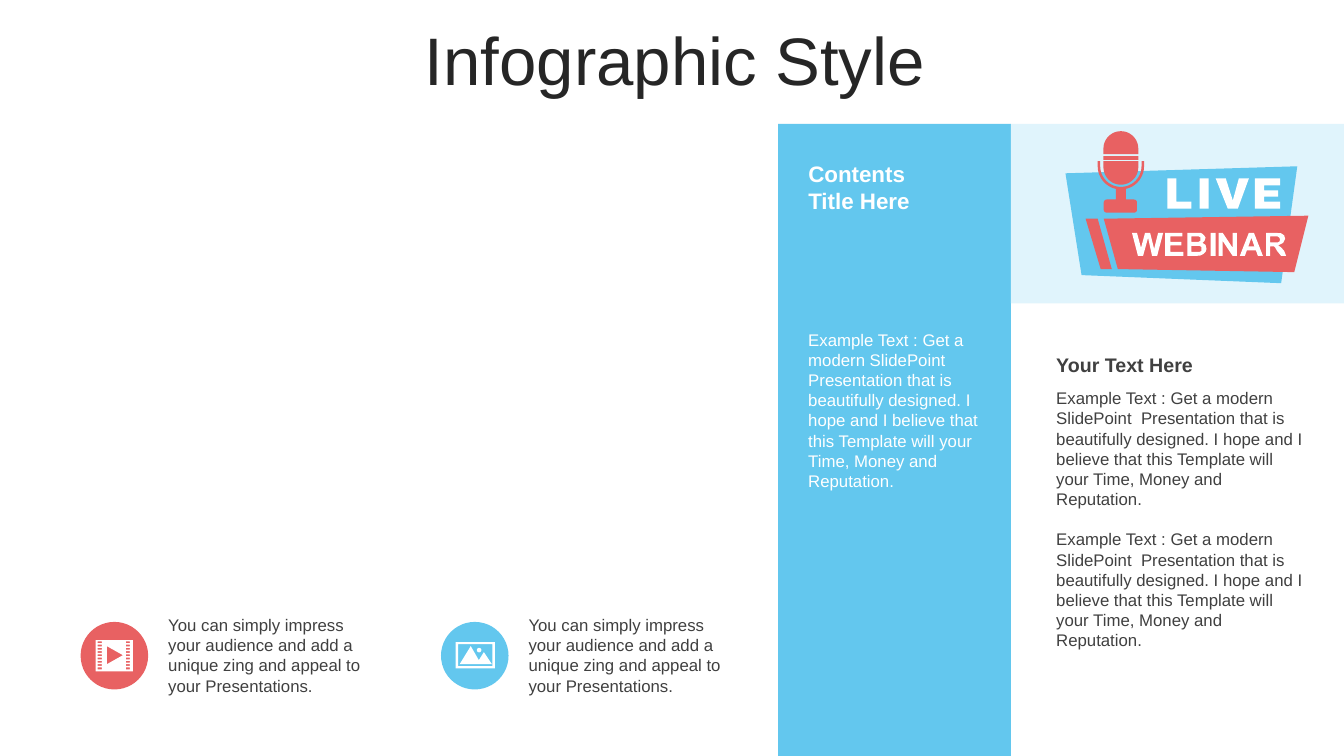
import math
import pptx
import pptx.util
import pptx.dml.color
import pptx.enum.shapes
import pptx.enum.text

RGBColor = pptx.dml.color.RGBColor
BLUE = RGBColor(0x63, 0xC7, 0xEE)
PALE = RGBColor(0xE0, 0xF4, 0xFC)
RED = RGBColor(0xE8, 0x61, 0x62)
WHITE = RGBColor(0xFF, 0xFF, 0xFF)
GREY = RGBColor(0x40, 0x40, 0x40)
BLACK = RGBColor(0x26, 0x26, 0x26)

# The slide is a grid of square cells, a tenth of an inch each.
CELL = pptx.util.Inches(0.1)
COLS, ROWS = 133.33, 75
TOP, SIDE, EDGE = 12.3, 77.2, 100.3

PITCH = ("Example Text : Get a modern SlidePoint  Presentation that is "
         "beautifully designed. I hope and I believe that this Template "
         "will your Time, Money and Reputation.")
IMPRESS = ("You can simply impress your audience and add a unique zing "
           "and appeal to your Presentations.")


def grid(*cells):
    return [round(n * CELL) for n in cells]


def paint(shape, fill):
    shape.fill.solid()
    shape.fill.fore_color.rgb = fill
    shape.line.fill.background()
    shape.shadow.inherit = False


def panel(shapes, kind, area, fill):
    paint(shapes.add_shape(kind, *grid(*area)), fill)


def write(frame, lines, size, color, bold=False, gap=0):
    for i, line in enumerate(lines):
        para = frame.paragraphs[0] if i == 0 else frame.add_paragraph()
        if i and gap:
            para.space_before = pptx.util.Pt(gap)
        run = para.add_run()
        run.text = line
        run.font.name = "Arial"
        run.font.size = pptx.util.Pt(size)
        run.font.bold = bold
        run.font.color.rgb = color


def note(shapes, area, lines, size, color, bold=False, gap=0):
    frame = shapes.add_textbox(*grid(*area)).text_frame
    frame.word_wrap = True
    frame.auto_size = pptx.enum.text.MSO_AUTO_SIZE.SHAPE_TO_FIT_TEXT
    write(frame, lines, size, color, bold, gap)


def trace(shapes, left, top, loops, fill):
    """Draw closed loops, in tenths of a cell from (left, top), as one shape."""
    loops = [[grid(left + x / 10, top + y / 10) for x, y in loop]
             for loop in loops]
    pen = shapes.build_freeform(*loops[0][0], scale=1.0)
    for i, loop in enumerate(loops):
        if i:
            pen.move_to(*loop[0])
        pen.add_line_segments(loop[1:], close=True)
    paint(pen.convert_to_shape(), fill)


def box(x, y, wide, high):
    return [(x, y), (x + wide, y), (x + wide, y + high), (x, y + high)]


def arc(x, y, size, start, end):
    """Points on a circle; angles in degrees, clockwise from the right."""
    turns = [math.radians(start + (end - start) * i / 24) for i in range(25)]
    return [(x + size * math.cos(t), y + size * math.sin(t)) for t in turns]


def film(shapes):
    holes = [box(x, 1.2 + 3.25 * row, 4, 1.8)
             for row in range(9) for x in (2, 30)]
    play = [(11, 6), (11, 24), (27, 15)]
    trace(shapes, 9.5, 63.5, [box(0, 0, 37, 31), play, *holes], WHITE)


def photo(shapes):
    hills = [(15, 4), (23, 18), (28, 10), (36, 22), (4, 22)]
    trace(shapes, 45.2, 63.7, [box(0, 0, 39, 26), box(2.5, 2, 34, 22),
                               hills, arc(23.3, 8, 2.2, 0, 360)], WHITE)


def mic(shapes):
    head = arc(23, 17.5, 17.3, 180, 360) + [(40.3, 23), (5.7, 23)]
    chin = [(5.7, 30), (40.3, 30)] + arc(23, 36, 17.3, 0, 180)
    yoke = ([(46, 30)] + arc(23, 35, 23, 0, 180) + [(0, 30), (2.5, 30)]
            + arc(23, 35, 20.5, 180, 0) + [(43.5, 30)])
    stem = box(18, 57.8, 10, 10.2)
    base = [p for x, y, turn in ((9, 71, 180), (36, 71, 270),
                                 (36, 78, 0), (9, 78, 90))
            for p in arc(x, y, 3, turn, turn + 90)]
    trace(shapes, 108.9, 13,
          [head, box(5.7, 25, 34.6, 3.6), chin, yoke, stem, base], RED)


def live(shapes):
    l = [(0, 0), (9, 0), (9, 23), (24, 23), (24, 30), (0, 30)]
    v = [(48, 0), (58, 0), (65, 22), (71, 0), (81, 0), (70, 30), (60, 30)]
    e = [(87, 0), (112, 0), (112, 7), (96, 7), (96, 12), (110, 12),
         (110, 18), (96, 18), (96, 23), (112, 23), (112, 30), (87, 30)]
    trace(shapes, 115.8, 17.7, [l, box(32, 0, 9, 30), v, e], WHITE)


def webinar(shapes):
    w = [(0, 0), (5, 0), (9, 15), (13, 0), (18, 0), (22, 16), (26, 0),
         (31, 0), (25, 23), (20, 23), (16, 5), (11, 23), (6, 23)]
    e = [(33, 0), (50, 0), (50, 3.5), (38, 3.5), (38, 9), (49, 9),
         (49, 12.5), (38, 12.5), (38, 19), (51, 19), (51, 23), (33, 23)]
    b = [(55, 0), (64, 0), (68, 0), (70, 1), (72, 3), (73, 5), (72, 8),
         (70, 10), (73, 12), (74, 16), (73, 19), (71, 21), (68, 22.5),
         (63, 23), (55, 23)]
    low = [(59, 13), (59, 19), (64, 19), (67, 19), (69, 18), (69, 16),
           (69, 14), (67, 13)]
    high = [(59, 3.5), (59, 9), (62, 9), (66, 9), (68, 8), (68, 6),
            (68, 4.5), (66, 3.5)]
    n = [(86, 0), (90, 0), (100, 15), (100, 0), (104, 0), (104, 23),
         (100, 23), (90, 8), (90, 23), (86, 23)]
    a = [(116, 0), (121, 0), (130, 23), (125, 23), (123, 17.5),
         (114, 17.5), (112, 23), (107, 23)]
    gap = [(118.5, 5), (115.5, 13.5), (121.5, 13.5)]
    r = [(133, 0), (142, 0), (148, 0.5), (151, 2.5), (152, 6), (150, 10),
         (145, 12.5), (148, 14.5), (151, 18), (153, 23), (148, 23),
         (144, 18), (142, 14.5), (141, 13.5), (137, 13.5), (137, 23),
         (133, 23)]
    eye = [(137, 3.5), (137, 9.5), (141, 9.5), (145, 9.5), (146.5, 8.5),
           (147, 6.5), (146, 4.5), (144, 3.5)]
    trace(shapes, 112.3, 23.1, [w, e, b, low, high, box(78, 0, 5, 23),
                                n, a, gap, r, eye], WHITE)


def badge(shapes):
    trace(shapes, 105.7, 16.5,
          [[(0, 7), (230, 0), (214, 116), (16, 108)]], BLUE)
    trace(shapes, 109.5, 21.4,
          [[(0, 3), (203, 0), (189, 56), (14, 53)]], RED)
    trace(shapes, 107.7, 21.7,
          [[(12, 0), (26, 50), (15, 50), (0, 0)]], RED)
    mic(shapes)
    webinar(shapes)
    live(shapes)


def title(shapes):
    head = shapes.title
    head.left, head.top, head.width, head.height = grid(0, 2.4, COLS, 7.8)
    frame = head.text_frame
    frame.margin_left, frame.margin_right = grid(1.6, 1)
    frame.margin_top, frame.margin_bottom = grid(0.5, 0.5)
    frame.vertical_anchor = pptx.enum.text.MSO_ANCHOR.MIDDLE
    write(frame, ["Infographic Style"], 48, BLACK)
    frame.paragraphs[0].alignment = pptx.enum.text.PP_ALIGN.CENTER
    frame.paragraphs[0].line_spacing = 0.9


def main():
    deck = pptx.Presentation()
    deck.slide_width, deck.slide_height = grid(COLS, ROWS)
    shapes = deck.slides.add_slide(deck.slide_layouts[5]).shapes
    kinds = pptx.enum.shapes.MSO_SHAPE

    title(shapes)
    panel(shapes, kinds.RECTANGLE, (SIDE, TOP, EDGE - SIDE, ROWS - TOP), BLUE)
    panel(shapes, kinds.RECTANGLE, (EDGE, TOP, COLS - EDGE, 17.8), PALE)

    for left, fill in ((8, RED), (43.75, BLUE)):
        panel(shapes, kinds.OVAL, (left, 61.7, 6.7, 6.7), fill)
        note(shapes, (left + 7.7, 60.5, 22.5, 9.1), [IMPRESS], 12, GREY)
    film(shapes)
    photo(shapes)

    note(shapes, (79.2, 15.4, 19.2, 6.4), ["Contents", "Title Here"],
         16, WHITE, bold=True)
    note(shapes, (79.2, 32.2, 19.3, 17.2), [PITCH], 12, WHITE)

    story = shapes.add_group_shape().shapes
    note(story, (103.8, 38, 26.6, 27.3), [PITCH, PITCH], 12, GREY, gap=14.4)
    note(story, (103.8, 34.5, 26.3, 3.4), ["Your Text Here"],
         14, GREY, bold=True)

    badge(shapes.add_group_shape().shapes)
    deck.save("out.pptx")


if __name__ == "__main__":
    main()
